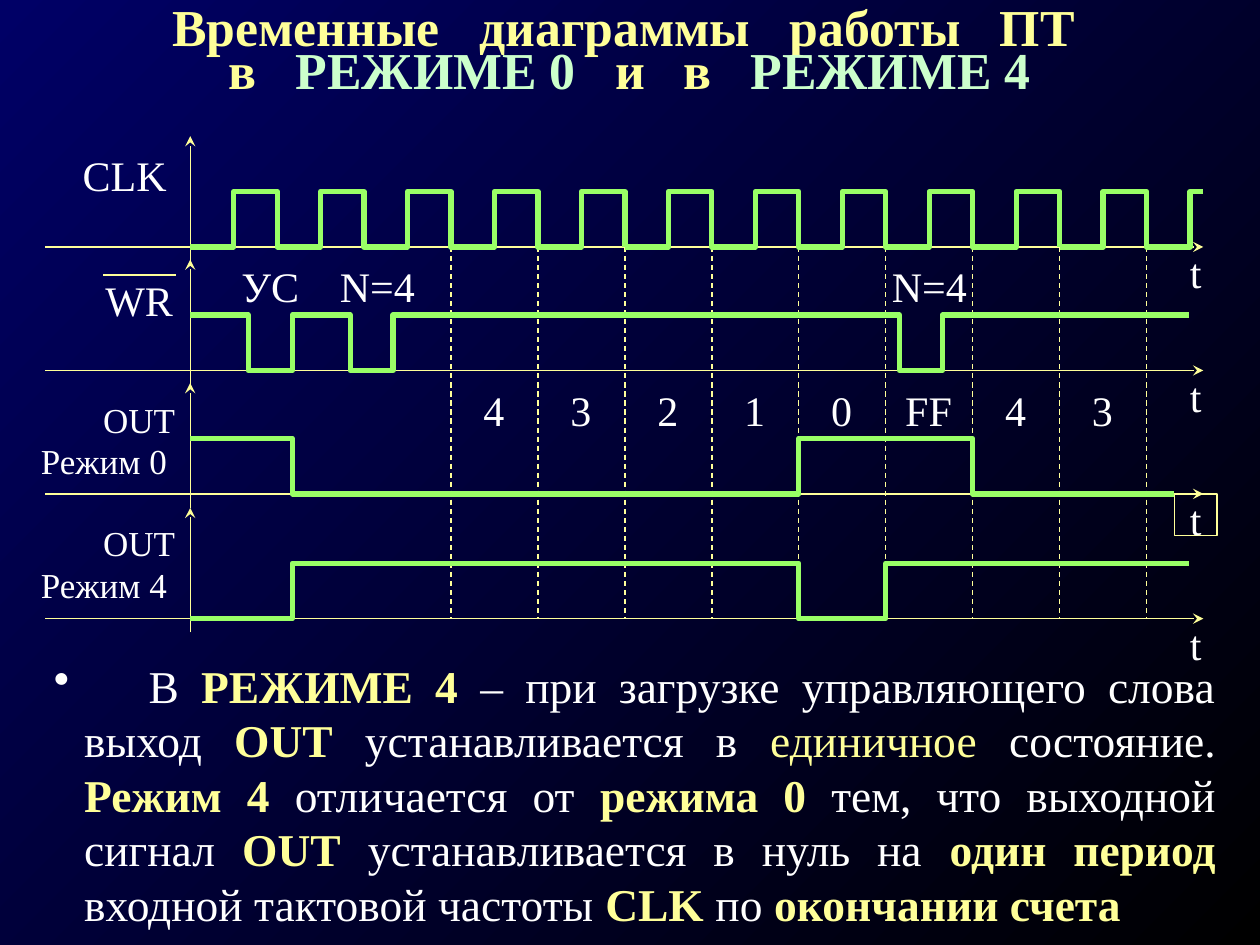
"""Build the slide with timing diagrams of the timer in modes 0 and 4."""
from lxml import etree
from pptx import Presentation
from pptx.dml.color import RGBColor
from pptx.enum.dml import MSO_LINE_DASH_STYLE as Dash
from pptx.enum.shapes import MSO_CONNECTOR as Connector
from pptx.enum.text import MSO_ANCHOR as Anchor, PP_ALIGN as Align
from pptx.oxml.ns import qn
from pptx.util import Inches, Pt

COLORS = {"navy": "000066", "black": "000000", "cream": "FFFF99",
          "mint": "CCFFCC", "white": "FFFFFF", "signal": "99FF66"}
FACE = "Times New Roman"
AXIS = {"width": Pt(0.75)}
TICK = {"width": Pt(0.75), "dash_style": Dash.DASH}
OVERBAR = {"width": Pt(1)}
LABEL_FRAME = {"word_wrap": True, "margin_left": 0, "margin_right": 0,
               "margin_top": 0, "margin_bottom": 0}

prs = Presentation()
prs.slide_width, prs.slide_height = Inches(10), Inches(7.5)
slide = prs.slides.add_slide(prs.slide_layouts[6])
shapes = slide.shapes

backdrop = slide.background.fill
backdrop.gradient()
backdrop.gradient_angle = 315
for stop, position, color in zip(backdrop.gradient_stops, (0, 1), ("navy", "black")):
    stop.position = position
    stop.color.rgb = RGBColor.from_string(COLORS[color])


def add_text(paragraph, text, color, size, bold=False, spacing=0):
    run = paragraph.add_run()
    run.text = text
    for name, value in {"name": FACE, "size": Pt(size), "bold": bold}.items():
        setattr(run.font, name, value)
    run.font.color.rgb = RGBColor.from_string(COLORS[color])
    if spacing:
        run.font._element.set("spc", str(spacing))


def add_line(x1, y1, x2, y2, style, arrow=False):
    line = shapes.add_connector(Connector.STRAIGHT, *map(Inches, (x1, y1, x2, y2)))
    line.line.color.rgb = RGBColor.from_string(COLORS["cream"])
    for name, value in style.items():
        setattr(line.line, name, value)
    properties = line._element.spPr
    if arrow:
        etree.SubElement(properties.find(qn("a:ln")), qn("a:tailEnd"), type="stealth")
    etree.SubElement(properties, qn("a:effectLst"))


title = shapes.add_textbox(0, 0, Inches(10), Inches(0.83)).text_frame
title.word_wrap = True
title.vertical_anchor = Anchor.BOTTOM
title_lines = [
    [("Временные", "cream"), ("диаграммы", "cream"), ("работы", "cream"), ("ПТ ", "cream")],
    [("в", "cream"), ("РЕЖИМЕ 0", "mint"), ("и", "cream"), ("в", "cream"), ("РЕЖИМЕ 4", "mint")],
]
for row, words in enumerate(title_lines):
    paragraph = title.add_paragraph() if row else title.paragraphs[0]
    paragraph.alignment = Align.CENTER
    paragraph.line_spacing = 0.7
    for index, (word, color) in enumerate(words):
        if index:
            add_text(paragraph, " ", color, 29.6, True, 1480)
        add_text(paragraph, word, color, 29.6, True)

baselines = [1.96, 2.94, 3.92, 4.91]
origin, period, swing = 1.51, 0.69, 0.44
first_tick = origin + 3 * period

labels = [("t", 9.32, y, 0.34, 24, Align.CENTER) for y in baselines]
labels += [
    ("CLK", 0.59, 1.19, 0.8, 24, Align.CENTER),
    ("WR", 0.82, 2.18, 0.57, 24, Align.CENTER),
    ("УС", 1.86, 2.07, 0.57, 24, Align.CENTER),
    ("N=4", 2.66, 2.07, 0.67, 24, Align.CENTER),
    ("N=4", 7.03, 2.07, 0.69, 24, Align.CENTER),
]
for mode, y in (("Режим 0", 3.16), ("Режим 4", 4.14)):
    labels += [("OUT", 0.59, y, 0.8, 20, Align.RIGHT),
               (mode, 0.25, y + 0.33, 1.15, 20, Align.CENTER)]
labels += [(count, first_tick + 0.11 + i * period, 3.05, 0.46, 24, Align.CENTER)
           for i, count in enumerate(["4", "3", "2", "1", "0", "FF", "4", "3"])]

for text, x, y, width, size, alignment in labels:
    label = shapes.add_textbox(Inches(x), Inches(y), Inches(width), Inches(0.33))
    for name, value in LABEL_FRAME.items():
        setattr(label.text_frame, name, value)
    label.text_frame.paragraphs[0].alignment = alignment
    add_text(label.text_frame.paragraphs[0], text, "white", size)
    if text == "t" and y == baselines[2]:
        label.line.color.rgb = RGBColor.from_string(COLORS["cream"])
        label.line.width = Pt(0.75)

for y in baselines:
    add_line(0.36, y, 9.55, y, AXIS, arrow=True)
    add_line(origin, y + 0.11, origin, y - 0.88, AXIS, arrow=True)
add_line(0.82, 2.18, 1.4, 2.18, OVERBAR)
for i in range(9):
    x = first_tick + i * period
    add_line(x, baselines[0], x, baselines[3], TICK)

clock_edges = [origin + i * period / 2 for i in range(24)]
signals = [
    (0, 0, clock_edges[:11]),
    (0, 0, clock_edges[10:21]),
    (0, 0, clock_edges[20:] + [9.55]),
    (1, 1, [origin, 1.97, 2.32, 2.78, 3.12, 5.88]),
    (1, 1, [5.88, 7.14, 7.48, 9.44]),
    (2, 1, [origin, 2.32, 6.34, 7.72, 9.32]),
    (3, 0, [origin, 2.32, 6.34, 7.03, 9.44]),
]
for row, level, edges in signals:
    points = []
    for start, end in zip(edges, edges[1:]):
        y = baselines[row] - level * swing
        points += [(Inches(start), Inches(y)), (Inches(end), Inches(y))]
        level = 1 - level
    if row == 0 and edges[-1] != 9.55:
        points.append((Inches(edges[-1]), Inches(baselines[0])))
    builder = shapes.build_freeform(*points[0], scale=1.0)
    builder.add_line_segments(points[1:], close=False)
    trace = builder.convert_to_shape()
    trace.shadow.inherit = False
    trace.fill.background()
    trace.line.color.rgb = RGBColor.from_string(COLORS["signal"])
    trace.line.width = Pt(3)

description = shapes.add_textbox(Inches(0.33), Inches(5.17), Inches(9.42), Inches(2.27)).text_frame
description.word_wrap = True
paragraph = description.paragraphs[0]
paragraph.alignment = Align.JUSTIFY
layout = paragraph._p.get_or_add_pPr()
layout.set("marL", str(Inches(0.24)))
layout.set("indent", str(Inches(-0.24)))
bullet_color = etree.SubElement(layout, qn("a:buClr"))
etree.SubElement(bullet_color, qn("a:srgbClr"), val=COLORS["white"])
etree.SubElement(layout, qn("a:buChar"), char="•")
add_text(paragraph, " ", "white", 26, spacing=2400)
for text, color, bold in [
    ("В ", "white", False), ("РЕЖИМЕ 4", "cream", True),
    (" – при загрузке управляющего слова выход ", "white", False), ("OUT", "cream", True),
    (" устанавливается в ", "white", False), ("единичное", "cream", False),
    (" состояние. ", "white", False), ("Режим 4", "cream", True),
    (" отличается от ", "white", False), ("режима 0", "cream", True),
    (" тем, что выходной сигнал ", "white", False), ("OUT", "cream", True),
    (" устанавливается в нуль на ", "white", False), ("один период", "cream", True),
    (" входной тактовой частоты ", "white", False), ("CLK ", "cream", True),
    ("по ", "white", False), ("окончании счета ", "cream", True),
]:
    add_text(paragraph, text, color, 26, bold)

prs.save("out.pptx")
